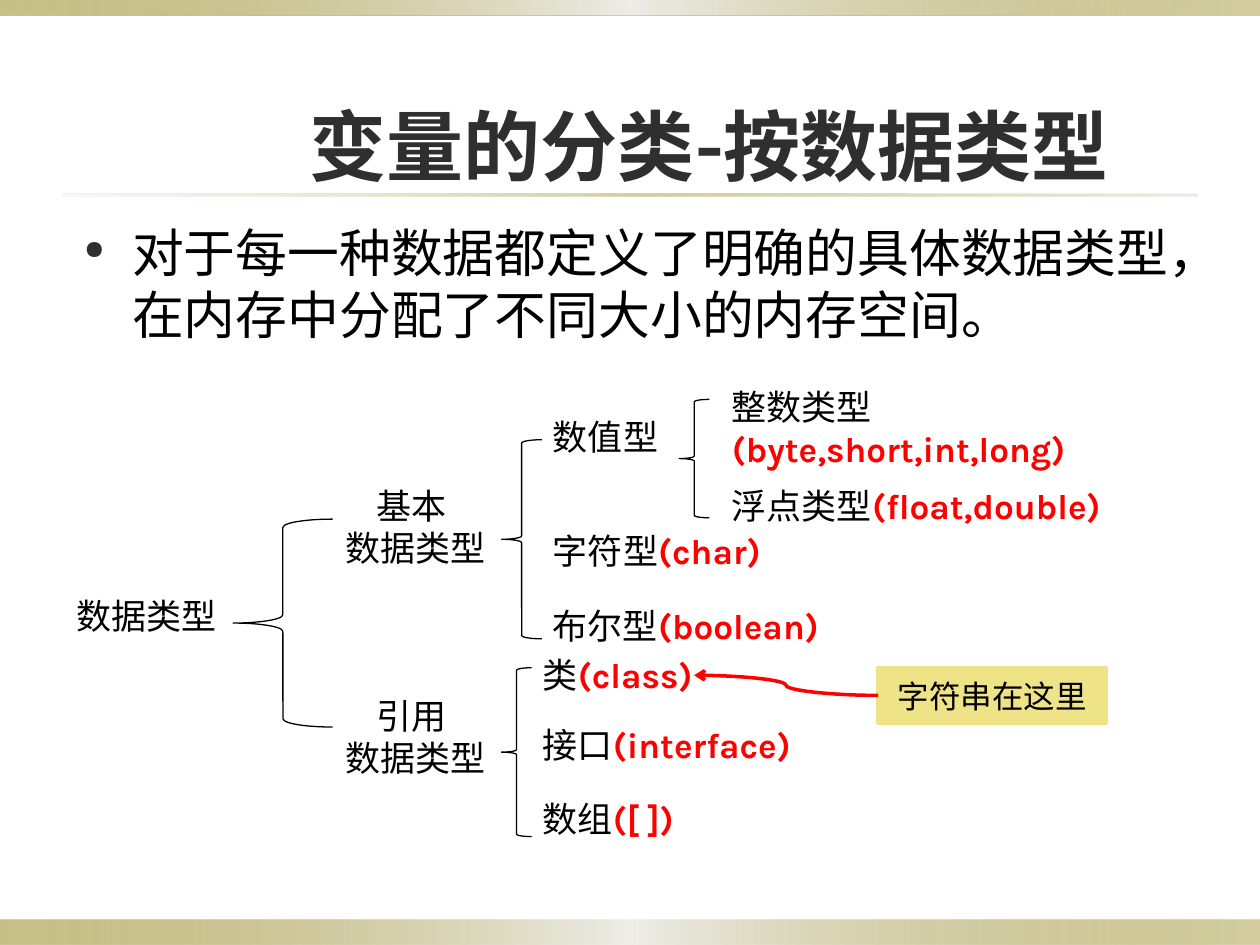
from lxml.etree import SubElement
from pptx import Presentation
from pptx.dml.color import RGBColor
from pptx.enum.lang import MSO_LANGUAGE_ID
from pptx.enum.shapes import MSO_CONNECTOR, MSO_SHAPE
from pptx.enum.text import MSO_ANCHOR, PP_ALIGN
from pptx.oxml.ns import qn
from pptx.util import Inches, Pt

FONT = "Karla"
BLACK = RGBColor(0x00, 0x00, 0x00)
RED = RGBColor(0xFF, 0x00, 0x00)
DARK = RGBColor(0x2F, 0x2F, 0x2F)
YELLOW = RGBColor(0xEE, 0xE3, 0x87)
OLIVE = RGBColor(0x91, 0x84, 0x15)
PALE = RGBColor(0xEE, 0xED, 0xE8)
SAND = RGBColor(0xDC, 0xD9, 0xCC)

# Gradient stops: position %, colour, opacity %
BAR_STOPS = [(0, OLIVE, 50), (50, PALE, 100), (100, OLIVE, 40)]
RULE_STOPS = [(0, SAND, 20), (50, OLIVE, 40), (100, SAND, 50)]

LABEL = {"size": Pt(20)}
KEYWORD = {"bold": True}

BANDS = [
    (0, 7.3, 10, 0.2, BAR_STOPS),
    (0, 0, 10, 0.12, BAR_STOPS),
    (0.5, 1.54, 9, 0.02, RULE_STOPS),
]
BRACES = [
    (1.85, 4.12, 0.79, 1.65),
    (3.98, 3.49, 0.32, 1.58),
    (3.98, 5.3, 0.24, 1.34),
    (5.39, 3.17, 0.24, 0.94),
]
# Left, top, width, type name, keyword
TYPES = [
    (0.51, 4.67, 1.57, "数据类型", ""),
    (4.29, 3.25, 1.42, "数值型", ""),
    (4.29, 4.15, 1.89, "字符型", "(char)"),
    (4.29, 4.75, 2.44, "布尔型", "(boolean)"),
    (5.71, 3.01, 3.86, "整数类型", "(byte,short,int,long)"),
    (5.71, 3.8, 3.7, "浮点类型", "(float,double)"),
    (4.21, 5.14, 1.89, "类", "(class)"),
    (4.21, 5.69, 2.76, "接口", "(interface)"),
    (4.21, 6.28, 1.89, "数组", "([ ])"),
]
GROUPS = [(3.8, "基本"), (5.46, "引用")]


def add_run(p, text, color, formats):
    r = p.add_run()
    r.text = text
    r.font.name = FONT
    r.font.language_id = MSO_LANGUAGE_ID.SIMPLIFIED_CHINESE
    r.font.color.rgb = color
    for name, value in formats.items():
        setattr(r.font, name, value)
    SubElement(r.font._element, qn("a:ea"), typeface=FONT)


def add_text_frame(s, left, top, width, height):
    tf = s.shapes.add_textbox(*map(Inches, (left, top, width, height))).text_frame
    tf.word_wrap = True
    return tf


def add_shape(s, kind, left, top, width, height):
    sp = s.shapes.add_shape(kind, *map(Inches, (left, top, width, height)))
    sp.shadow.inherit = False
    return sp


def add_band(s, left, top, width, height, stops):
    """Rectangle with a left-to-right gradient of partly transparent stops."""
    sp = add_shape(s, MSO_SHAPE.RECTANGLE, left, top, width, height)
    sp.line.fill.background()
    sp.fill.gradient()
    sp.fill.gradient_angle = 0
    stop_list = sp._element.spPr.find(qn("a:gradFill")).find(qn("a:gsLst"))
    for stop in list(stop_list):
        stop_list.remove(stop)
    for position, color, opacity in stops:
        gs = SubElement(stop_list, qn("a:gs"), pos=str(position * 1000))
        clr = SubElement(gs, qn("a:srgbClr"), val=str(color))
        SubElement(clr, qn("a:alpha"), val=str(opacity * 1000))


def add_brace(s, left, top, width, height):
    sp = add_shape(s, MSO_SHAPE.LEFT_BRACE, left, top, width, height)
    sp.fill.background()
    sp.line.color.rgb = BLACK
    sp.line.width = Pt(0.75)


def add_title(s, text):
    tf = add_text_frame(s, 2.19, 0.68, 6.88, 0.94)
    tf.vertical_anchor = MSO_ANCHOR.MIDDLE
    p = tf.paragraphs[0]
    p.alignment = PP_ALIGN.CENTER
    add_run(p, text, DARK, {"size": Pt(44), "bold": True})


def add_bullet(s, text):
    p = add_text_frame(s, 0.57, 1.7, 9, 1.14).paragraphs[0]
    p.space_before = Pt(6)
    add_run(p, text, BLACK, {"size": Pt(29.6)})
    pPr = p._p.get_or_add_pPr()
    pPr.set("marL", str(Inches(0.38)))
    pPr.set("indent", str(Inches(-0.38)))
    SubElement(SubElement(pPr, qn("a:buClr")), qn("a:srgbClr"), val=str(DARK))
    SubElement(pPr, qn("a:buSzPct"), val="50000")
    SubElement(pPr, qn("a:buChar"), char="●")


def add_type(s, left, top, width, name, keyword):
    p = add_text_frame(s, left, top, width, 0.44).paragraphs[0]
    add_run(p, name, BLACK, LABEL)
    if keyword:
        add_run(p, keyword, RED, LABEL | KEYWORD)


def add_group(s, top, name):
    """Two-line branch label whose first line is indented."""
    tf = add_text_frame(s, 2.64, top, 2.21, 0.77)
    first = tf.paragraphs[0]
    first._p.get_or_add_pPr().set("marL", str(Inches(0.25)))
    add_run(first, name, BLACK, LABEL)
    add_run(tf.add_paragraph(), "数据类型", BLACK, LABEL)


def add_callout(s, text):
    sp = add_shape(s, MSO_SHAPE.RECTANGLE, 6.97, 5.3, 1.81, 0.44)
    sp.fill.solid()
    sp.fill.fore_color.rgb = YELLOW
    sp.line.color.rgb = YELLOW
    sp.line.width = Pt(2)
    sp.text_frame.vertical_anchor = MSO_ANCHOR.MIDDLE
    p = sp.text_frame.paragraphs[0]
    p.alignment = PP_ALIGN.CENTER
    add_run(p, text, BLACK, {"size": Pt(18)})
    return sp


def add_curved_arrow(s, source, x, y):
    """Curved arrow from the left side of source to the point x, y."""
    line = s.shapes.add_connector(
        MSO_CONNECTOR.CURVE, Inches(6.97), Inches(5.52), Inches(x), Inches(y))
    line.begin_connect(source, 1)
    line.line.color.rgb = RED
    line.line.width = Pt(2)
    SubElement(line.line._get_or_add_ln(), qn("a:tailEnd"), type="arrow")
    SubElement(line._element.spPr, qn("a:effectLst"))


def main():
    prs = Presentation()
    prs.slide_width, prs.slide_height = Inches(10), Inches(7.5)
    s = prs.slides.add_slide(prs.slide_layouts[6])
    for band in BANDS:
        add_band(s, *band)
    add_title(s, "变量的分类-按数据类型")
    add_bullet(s, "对于每一种数据都定义了明确的具体数据类型，在内存中分配了不同大小的内存空间。")
    for brace in BRACES:
        add_brace(s, *brace)
    for group in GROUPS:
        add_group(s, *group)
    for data_type in TYPES:
        add_type(s, *data_type)
    callout = add_callout(s, "字符串在这里")
    add_curved_arrow(s, callout, 5.51, 5.36)
    prs.save("out.pptx")


if __name__ == "__main__":
    main()
